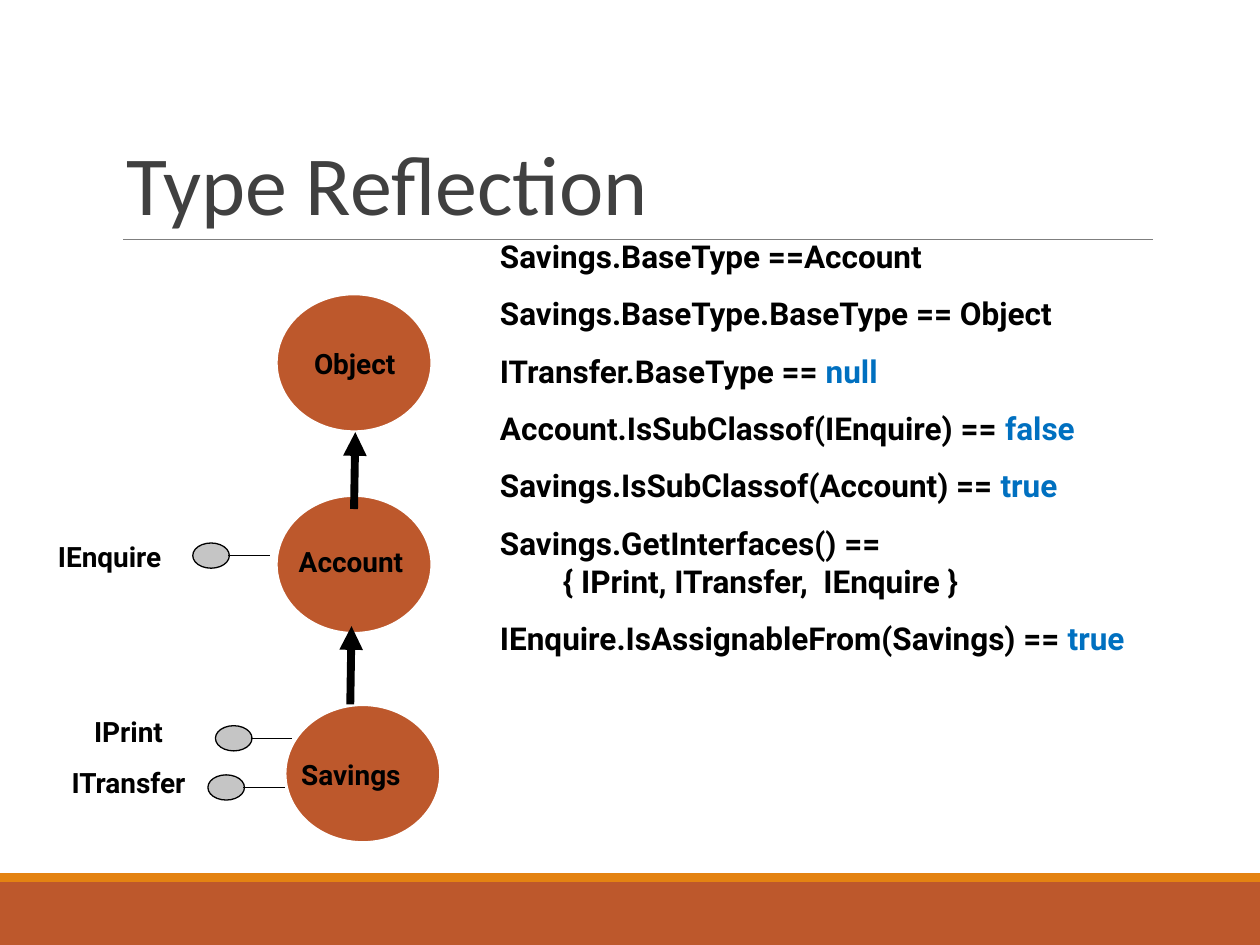
from dataclasses import dataclass

from lxml import etree
from pptx import Presentation
from pptx.dml.color import RGBColor
from pptx.enum.shapes import MSO_CONNECTOR, MSO_SHAPE
from pptx.enum.text import MSO_ANCHOR, MSO_AUTO_SIZE, PP_ALIGN
from pptx.oxml.ns import qn
from pptx.util import Inches, Pt

STRAIGHT = MSO_CONNECTOR.STRAIGHT
ELLIPSE, RECTANGLE = MSO_SHAPE.OVAL, MSO_SHAPE.RECTANGLE
LEFT, CENTER = PP_ALIGN.LEFT, PP_ALIGN.CENTER
BOTTOM = MSO_ANCHOR.BOTTOM
NO_AUTOFIT = MSO_AUTO_SIZE.NONE
TITLE_ONLY = 5


@dataclass(frozen=True)
class Theme:
    rust: RGBColor = RGBColor(0xBD, 0x58, 0x2C)
    orange: RGBColor = RGBColor(0xE4, 0x83, 0x12)
    rule: RGBColor = RGBColor(0x7F, 0x7F, 0x7F)
    title: RGBColor = RGBColor(0x40, 0x40, 0x40)
    text: RGBColor = RGBColor(0, 0, 0)
    keyword: RGBColor = RGBColor(0x00, 0x70, 0xC0)
    pin: RGBColor = RGBColor(0x8C, 0x8C, 0x8C)
    white: RGBColor = RGBColor(0xFF, 0xFF, 0xFF)
    title_font: str = "Calibri"
    body_font: str = "Roboto"
    title_size: int = 48
    code_size: int = 18
    label_size: int = 16


THEME = Theme()

# Each statement is its code and the keyword it evaluates to
STATEMENTS = [
    ("Savings.BaseType ==Account", ""),
    ("Savings.BaseType.BaseType == Object", ""),
    ("ITransfer.BaseType == ", "null"),
    ("Account.IsSubClassof(IEnquire) == ", "false"),
    ("Savings.IsSubClassof(Account) == ", "true"),
    ("Savings.GetInterfaces() ==\n\t{ IPrint, ITransfer,  IEnquire }", ""),
    ("IEnquire.IsAssignableFrom(Savings) == ", "true"),
]


def add_filled(slide, kind, box, fill, line=None, width=0):
    shape = slide.shapes.add_shape(kind, *map(Inches, box))
    shape.shadow.inherit = False
    shape.fill.solid()
    shape.fill.fore_color.rgb = fill
    if line is None:
        shape.line.fill.background()
    else:
        shape.line.color.rgb = line
        shape.line.width = Pt(width)
    return shape


def add_line(slide, start, end, color, width, arrow=False):
    line = slide.shapes.add_connector(STRAIGHT, *map(Inches, (*start, *end)))
    line.line.color.rgb = color
    line.line.width = Pt(width)
    if arrow:
        etree.SubElement(line.line._get_or_add_ln(), qn("a:tailEnd"), type="triangle")
    etree.SubElement(line._element.spPr, qn("a:effectLst"))


def add_text_frame(slide, box):
    frame = slide.shapes.add_textbox(*map(Inches, box)).text_frame
    frame.word_wrap = True
    return frame


def style_font(font, size, color, name=THEME.body_font, bold=True):
    font.name, font.size, font.bold = name, Pt(size), bold
    font.color.rgb = color


def add_label(slide, box, text):
    paragraph = add_text_frame(slide, box).paragraphs[0]
    paragraph.text = text
    paragraph.alignment = CENTER
    style_font(paragraph.font, THEME.label_size, THEME.text)


def add_footer_bands(slide, box):
    left, top, width, height = box
    stripe = 0.07
    add_filled(slide, RECTANGLE, (left, top + stripe, width, height - stripe), THEME.rust)
    add_filled(slide, RECTANGLE, (left, top, width, stripe), THEME.orange)


def add_title(slide, box, text):
    left, top, width, height = box
    title = slide.shapes.title
    title.left, title.top, title.width, title.height = map(Inches, box)
    frame = title.text_frame
    frame.text = text
    frame.auto_size = NO_AUTOFIT
    frame.vertical_anchor = BOTTOM
    paragraph = frame.paragraphs[0]
    paragraph.alignment = LEFT
    paragraph.line_spacing = 0.85
    style_font(paragraph.font, THEME.title_size, THEME.title, THEME.title_font, False)
    # Rule along the bottom of the title
    bottom = top + height
    add_line(slide, (left + 0.08, bottom), (left + width, bottom), THEME.rule, 0.5)


def add_interface(slide, left, middle, label, label_box):
    """Draw a lollipop for an interface, with its name."""
    width, height, stem = 0.29, 0.2, 0.33
    pin = add_filled(slide, ELLIPSE, (left, middle - height / 2, width, height),
                     THEME.pin, THEME.text, 0.75)
    color = pin._element.spPr.find(qn("a:solidFill"))[0]
    etree.SubElement(color, qn("a:alpha"), val="50000")
    edge = left + width - 0.01
    add_line(slide, (edge, middle), (edge + stem, middle), THEME.text, 0.75)
    add_label(slide, label_box, label)


def add_class_diagram(slide, box):
    left, top, _, _ = box

    # Classes: name, circle offset, label offset
    for name, circle, label in [
        ("Object", (1.96, 0), (1.99, 0.37)),
        ("Account", (1.96, 1.6), (1.96, 1.94)),
        ("Savings", (2.03, 3.26), (1.96, 3.63)),
    ]:
        add_filled(slide, ELLIPSE, (left + circle[0], top + circle[1], 1.24, 1.1),
                   THEME.rust, THEME.white, 2)
        add_label(slide, (left + label[0], top + label[1], 1.19, 0.37), name)

    # Inheritance arrows
    for x, start, end in [(2.58, 1.71, 1.1), (2.55, 3.26, 2.64)]:
        add_line(slide, (left + x, top + start), (left + x + 0.01, top + end),
                 THEME.text, 4.5, arrow=True)

    # Interfaces: name, pin offset, label offset
    for name, pin, label in [
        ("IEnquire", (1.3, 2.08), (0, 1.9)),
        ("IPrint", (1.48, 3.53), (0.15, 3.29)),
        ("ITransfer", (1.42, 3.92), (0.15, 3.7)),
    ]:
        add_interface(slide, left + pin[0], top + pin[1], name,
                      (left + label[0], top + label[1], 1.28, 0.37))


def add_statements(slide, box):
    frame = add_text_frame(slide, box)
    for index, (code, keyword) in enumerate(STATEMENTS):
        paragraph = frame.add_paragraph() if index else frame.paragraphs[0]
        if index:
            paragraph.space_before = Pt(11.2)
        first, *continued = code.split("\n")
        paragraph.add_run().text = first
        for part in continued:
            tabs = etree.SubElement(paragraph._p.get_or_add_pPr(), qn("a:tabLst"))
            etree.SubElement(tabs, qn("a:tab"), pos=str(Inches(0.5)), algn="l")
            paragraph.add_line_break()
            paragraph.add_run().text = part
        style_font(paragraph.font, THEME.code_size, THEME.text)
        if keyword:
            run = paragraph.add_run()
            run.text = keyword
            run.font.color.rgb = THEME.keyword


def main():
    presentation = Presentation()
    presentation.slide_width, presentation.slide_height = Inches(10), Inches(7.5)
    slide = presentation.slides.add_slide(presentation.slide_layouts[TITLE_ONLY])
    add_footer_bands(slide, (0, 6.93, 10, 0.57))
    add_title(slide, (0.9, 0.31, 8.25, 1.59), "Type Reflection")
    add_class_diagram(slide, (0.23, 2.33, 3.27, 4.36))
    add_statements(slide, (3.87, 1.83, 6.13, 4.35))
    presentation.save("out.pptx")


if __name__ == "__main__":
    main()
